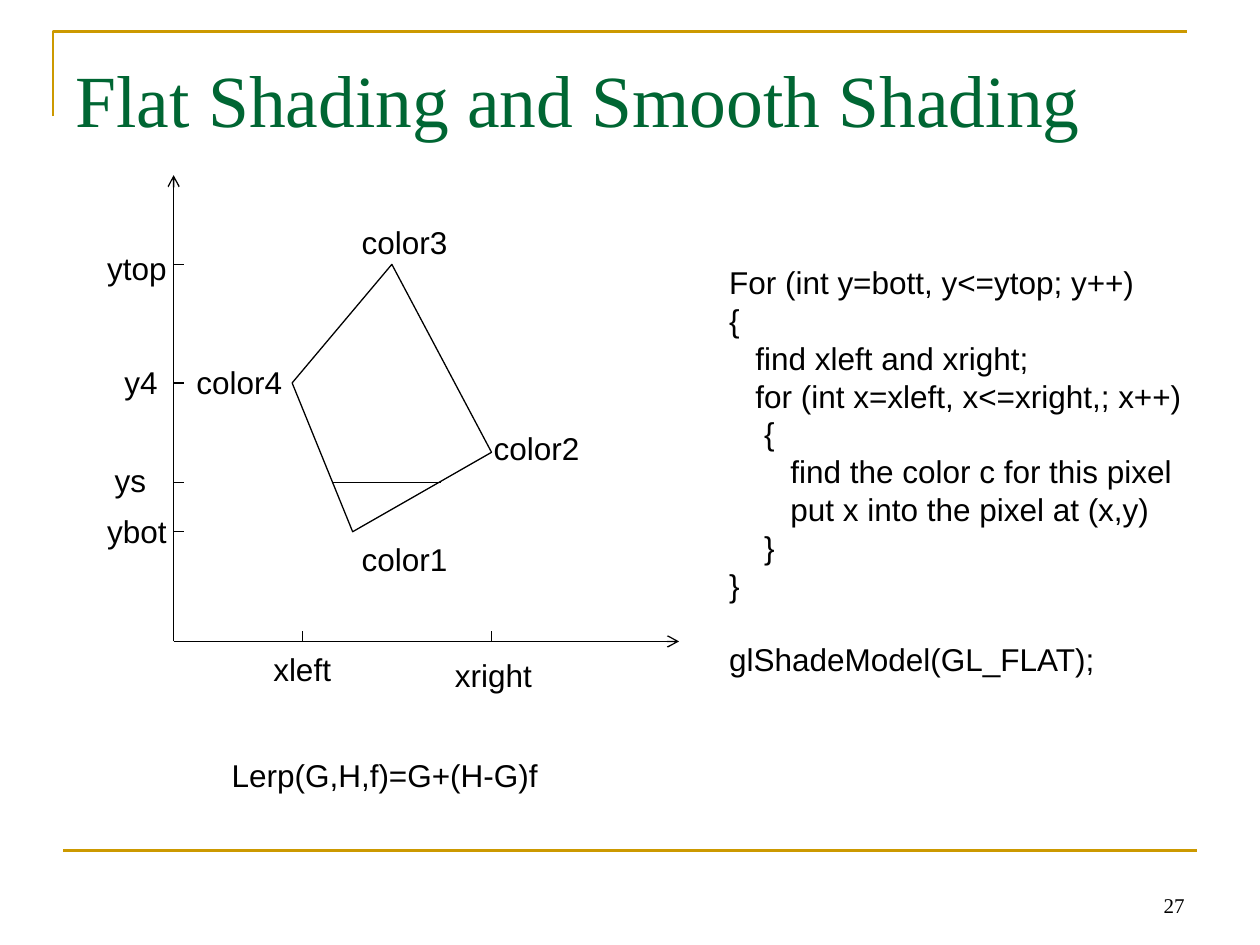
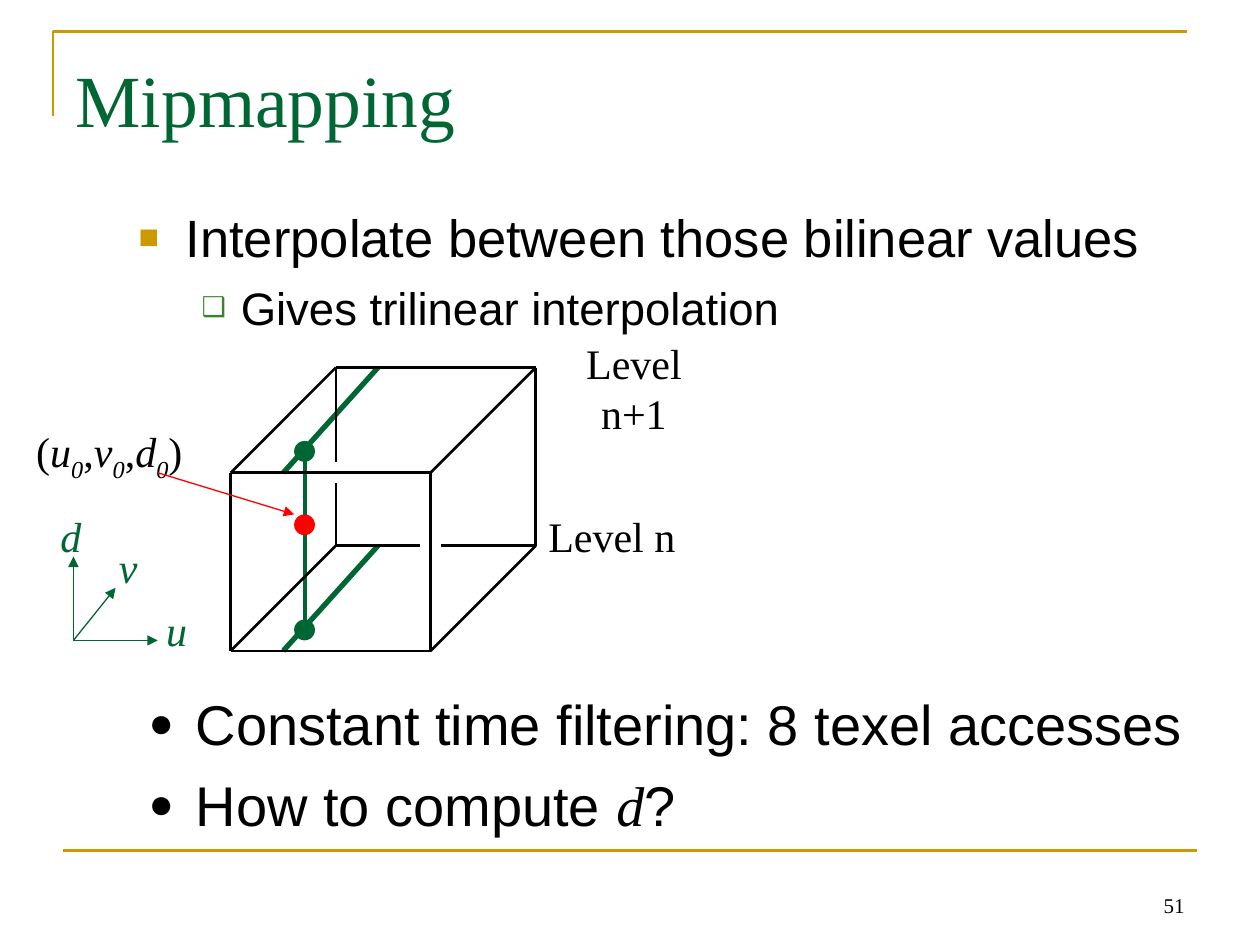
import pptx
import pptx.util
import pptx.oxml
import pptx.oxml.ns
from pptx.dml.color import RGBColor
from pptx.enum.shapes import MSO_CONNECTOR, MSO_SHAPE
from pptx.enum.text import MSO_ANCHOR, MSO_AUTO_SIZE, PP_ALIGN
from pptx.util import Cm, Pt

GOLD, GREEN, BLACK, RED = "CC9900", "006633", "000000", "FF0000"
SANS, SERIF = "Arial", "Times New Roman"
qn = pptx.oxml.ns.qn


def add_line(page, start, end, color=BLACK, width=0.75, arrow=None):
    """Draw a straight line between two points in cm, with an optional arrowhead at the end."""
    line = page.shapes.add_connector(
        MSO_CONNECTOR.STRAIGHT, Cm(start[0]), Cm(start[1]), Cm(end[0]), Cm(end[1]))
    line.line.color.rgb = RGBColor.from_string(color)
    line.line.width = Pt(width)
    properties = line.element.spPr
    if arrow:
        outline = properties.find(qn("a:ln"))
        outline.append(outline.makeelement(qn("a:tailEnd"), {"type": arrow}))
    properties.append(properties.makeelement(qn("a:effectLst"), {}))


def add_label(page, text, left, top, width, height=1.02, size=18, font=SANS,
              color=BLACK, align=PP_ALIGN.LEFT, italic=False):
    """Add unwrapped text, one paragraph per line; lengths in cm."""
    box = page.shapes.add_textbox(Cm(left), Cm(top), Cm(width), Cm(height))
    box.text_frame.text = text
    box.text_frame.word_wrap = False
    box.text_frame.auto_size = MSO_AUTO_SIZE.SHAPE_TO_FIT_TEXT
    for para in box.text_frame.paragraphs:
        para.alignment = align
        for span in para.runs:
            span.font.name = font
            span.font.size = Pt(size)
            span.font.italic = italic
            span.font.color.rgb = RGBColor.from_string(color)
    return box


deck = pptx.Presentation()
deck.slide_width, deck.slide_height = Cm(25.4), Cm(19.05)

# Shared frame, title and page number
pages = []
for title_text, number, layout_index in [("Flat Shading and Smooth Shading", "27", 5),
                                         ("Mipmapping", "51", 3)]:
    page = deck.slides.add_slide(deck.slide_layouts[layout_index])
    pages.append(page)
    builder = page.shapes.build_freeform(Cm(1.07), Cm(2.34))
    builder.add_line_segments([(Cm(1.07), Cm(0.64)), (Cm(23.93), Cm(0.64))], close=False)
    corner = builder.convert_to_shape()
    corner.shadow.inherit = False
    corner.fill.background()
    corner.line.color.rgb = RGBColor.from_string(GOLD)
    corner.line.width = Pt(1.5)
    add_line(page, (1.27, 17.15), (24.13, 17.15), GOLD, 1.5)

    footer = add_label(page, number, 18.21, 17.35, 5.92, 1.27, 12, SERIF, align=PP_ALIGN.RIGHT)
    footer.text_frame.auto_size = MSO_AUTO_SIZE.NONE
    footer.text_frame.word_wrap = True
    footer.text_frame.vertical_anchor = MSO_ANCHOR.BOTTOM

    title = page.shapes.title
    title.left, title.top, title.width, title.height = Cm(1.27), Cm(0.76), Cm(22.86), Cm(3.18)
    frame = title.text_frame
    frame.text = title_text
    frame.auto_size = MSO_AUTO_SIZE.NONE
    frame.vertical_anchor = MSO_ANCHOR.TOP
    frame.margin_top = Cm(0.33)
    para = frame.paragraphs[0]
    para.alignment = PP_ALIGN.LEFT
    font = para.runs[0].font
    font.name, font.size = SERIF, Pt(42)
    font.color.rgb = RGBColor.from_string(GREEN)

shading, mipmapping = pages

# Shading: polygon in its coordinate system
add_label(shading, "Lerp(G,H,f)=G+(H-G)f", 4.42, 15.11, 6.68)
corners = [(5.89, 7.72), (7.11, 10.72), (9.91, 9.12), (7.9, 5.33)]
builder = shading.shapes.build_freeform(Cm(corners[0][0]), Cm(corners[0][1]))
builder.add_line_segments([(Cm(x), Cm(y)) for x, y in corners[1:]], close=True)
polygon = builder.convert_to_shape()
polygon.shadow.inherit = False
polygon.fill.background()
polygon.line.color.rgb = RGBColor.from_string(BLACK)
polygon.line.width = Pt(0.75)

for text, left, top in [("color3", 7.04, 4.37), ("color4", 3.71, 7.19),
                        ("color1", 7.04, 10.77), ("color2", 9.7, 8.53)]:
    add_label(shading, text, left, top, 2.24)

axis_x, axis_y, tick = 3.5, 12.93, 0.2
scan_y = 9.73
add_line(shading, (axis_x, axis_y), (13.69, axis_y), arrow="arrow")
add_line(shading, (axis_x, axis_y), (axis_x, 3.53), arrow="arrow")
add_line(shading, (6.71, scan_y), (8.89, scan_y))
for x in (6.1, 9.91):
    add_line(shading, (x, axis_y), (x, axis_y - tick))
for y in (5.33, 7.72, scan_y, 10.72):
    add_line(shading, (axis_x, y), (axis_x + tick, y))
for text, left, top, width in [
        ("xleft", 5.26, 12.98, 1.68), ("xright", 8.92, 13.11, 2.06),
        ("ybot", 1.91, 10.19, 1.7), ("ytop", 1.91, 4.9, 1.7),
        ("ys", 2.06, 9.17, 1.14), ("y4", 2.26, 7.19, 1.17)]:
    add_label(shading, text, left, top, width)

code = """For (int y=bott, y<=ytop; y++)
{
   find xleft and xright;
   for (int x=xleft, x<=xright,; x++)
    {
       find the color c for this pixel
       put x into the pixel at (x,y)
    }
}
glShadeModel(GL_FLAT);"""
listing = add_label(shading, code, 14.45, 5.18, 9.63, 8.64)
listing.text_frame.paragraphs[-1].space_before = Pt(20.7)

# Mipmapping: two lists; each item is level, spans, size, space before,
# left margin in cm, hanging indent in cm, bullet, bullet colour, bullet percent
lists = [
    (1, 2.54, 4.01, [
        (0, ["Interpolate between those bilinear values"], 30, 0, 0.95, 0.95, "■", GOLD, 65),
        (1, ["Gives trilinear interpolation"], 26, 6.5, 2.06, 0.79, "❑", "3B812F", 60)]),
    (2, 2.74, 13.77, [
        (0, ["Constant time filtering: 8 texel accesses"], 32, 0, 0.95, 0.95, "●", BLACK, 75),
        (0, ["How to compute ", "d", "?"], 32, 8, 0.95, 0.95, "●", BLACK, 75)]),
]
for index, left, top, items in lists:
    body = mipmapping.placeholders[index]
    body.left, body.top, body.width, body.height = Cm(left), Cm(top), Cm(22.23), Cm(3.18)
    frame = body.text_frame
    frame.auto_size = MSO_AUTO_SIZE.NONE
    frame.vertical_anchor = MSO_ANCHOR.TOP
    for row, (level, spans, size, before, margin, hang, bullet, color, percent) in enumerate(items):
        para = frame.add_paragraph() if row else frame.paragraphs[0]
        para.level = level
        para.space_before = Pt(before)
        properties = para._p.get_or_add_pPr()
        properties.set("marL", str(Cm(margin)))
        properties.set("indent", str(-Cm(hang)))
        namespace = pptx.oxml.ns.nsdecls("a")
        for markup in (f'<a:buClr {namespace}><a:srgbClr val="{color}"/></a:buClr>',
                       f'<a:buSzPct {namespace} val="{percent * 1000}"/>',
                       f'<a:buFont {namespace} typeface="{SANS}"/>',
                       f'<a:buChar {namespace} char="{bullet}"/>'):
            properties.append(pptx.oxml.parse_xml(markup))
        for text in spans:
            span = para.add_run()
            span.text = text
            span.font.size = Pt(size)
            span.font.italic = text == "d"
            span.font.name = SERIF if text == "d" else SANS
            span.font.color.rgb = RGBColor.from_string(BLACK)

# Mipmapping: sample lines and points
left, right, depth = 4.65, 8.68, 2.12
levels = upper, lower = 9.53, 13.12
sample_x, dot = 6.14, 0.42
for y in levels:
    add_line(mipmapping, (5.71, y), (7.62, y - depth), GREEN, 3)
add_line(mipmapping, (sample_x, 9.1), (sample_x, 12.7), GREEN, 2.25)
for y, color in [(9.1, GREEN), (12.7, GREEN), (10.58, RED)]:
    point = mipmapping.shapes.add_shape(
        MSO_SHAPE.OVAL, Cm(sample_x - dot / 2), Cm(y - dot / 2), Cm(dot), Cm(dot))
    point.shadow.inherit = False
    point.fill.solid()
    point.fill.fore_color.rgb = RGBColor.from_string(color)
    point.line.fill.background()

# Mipmapping: cube, with gaps where hidden edges pass behind the front
back_left, back_right = left + depth, right + depth
back_upper, back_lower = upper - depth, lower - depth
edges = [((x, y), (x + depth, y - depth)) for x in (left, right) for y in levels]
edges += [((left, y), (right, y)) for y in levels]
edges += [((x, upper), (x, lower)) for x in (left, right)]
edges += [
    ((back_left, back_upper), (back_right, back_upper)),
    ((back_right, back_upper), (back_right, back_lower)),
    ((back_left, back_upper), (back_left, 9.31)),
    ((back_left, 9.74), (back_left, back_lower)),
    ((back_left, back_lower), (8.47, back_lower)),
    ((8.89, back_lower), (back_right, back_lower)),
]
for start, end in edges:
    add_line(mipmapping, start, end, width=1.5)

# Mipmapping: small axes and labels
for end in [(3.18, 12.91), (1.48, 11.22), (2.33, 11.85)]:
    add_line(mipmapping, (1.48, 12.91), end, GREEN, arrow="triangle")
for text, x, y in [("v", 2.13, 10.8), ("u", 3.1, 12.07), ("d", 0.97, 10.16)]:
    add_label(mipmapping, text, x, y, 0.91, 1.27, 24, SERIF, GREEN, PP_ALIGN.CENTER, True)
for text, y, width in [("Level n+1", 6.68, 3.96), ("Level n", 10.16, 3.07)]:
    add_label(mipmapping, text, 10.8, y, width, 1.27, 24, SERIF, align=PP_ALIGN.CENTER)

sample = add_label(mipmapping, "", 0.48, 8.46, 3.45, 1.42, align=PP_ALIGN.CENTER)
for character in "(u0,v0,d0)":
    span = sample.text_frame.paragraphs[0].add_run()
    span.text = character
    span.font.name, span.font.size = SERIF, Pt(24)
    span.font.italic = character in "uvd0"
    span.font.color.rgb = RGBColor.from_string(BLACK)
    if character == "0":
        span._r.get_or_add_rPr().set("baseline", "-25000")
add_line(mipmapping, (3.18, 9.53), (5.93, 10.37), "FE0000", arrow="triangle")

for page in pages:
    for placeholder in list(page.placeholders):
        if not placeholder.text_frame.text:
            placeholder.element.getparent().remove(placeholder.element)

deck.save("out.pptx")
